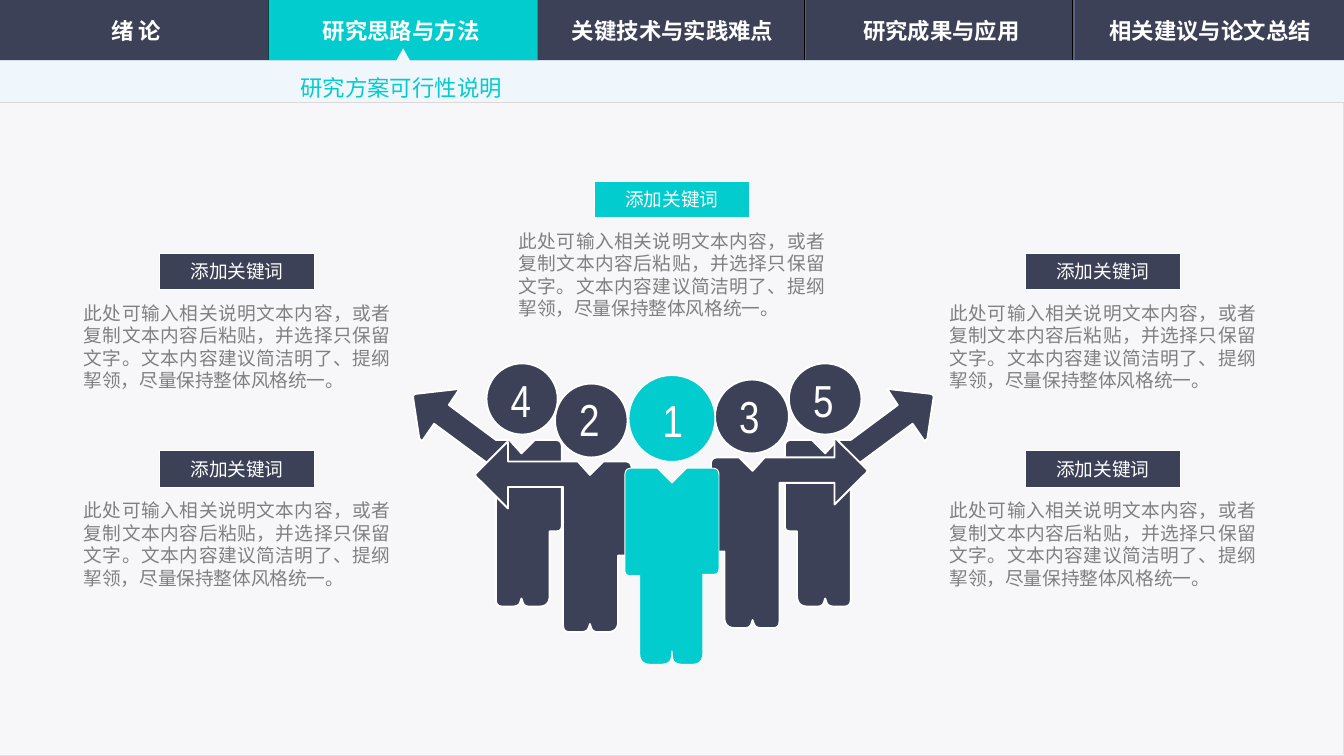
from math import hypot
from lxml.etree import SubElement
from pptx import Presentation
from pptx.dml.color import RGBColor
from pptx.enum.shapes import MSO_CONNECTOR, MSO_SHAPE
from pptx.enum.text import MSO_ANCHOR, MSO_AUTO_SIZE, PP_ALIGN
from pptx.oxml.ns import qn
from pptx.util import Inches, Pt

COLUMNS, ROWS = 1000, 562.5
CELL = Inches(10) // COLUMNS

NAVY = RGBColor(0x3C, 0x41, 0x57)
TEAL = RGBColor(0x03, 0xCC, 0xCE)
SLATE = RGBColor(0x3B, 0x44, 0x5B)
PAPER = RGBColor(0xF7, 0xF7, 0xF9)
PALE_EDGE = RGBColor(0xD4, 0xE7, 0xF9)
RIBBON = RGBColor(0xEF, 0xF6, 0xFC)
RULE = RGBColor(0xD9, 0xD9, 0xD9)
GROOVE = RGBColor(0x59, 0x61, 0x81)
BLACK = RGBColor(0, 0, 0)
WHITE = RGBColor(0xFF, 0xFF, 0xFF)
GREY = RGBColor(0x80, 0x80, 0x80)

HEADING_FONT = "Noto Sans CJK SC"
CHAPTERS = [("绪 论", 2), ("研究思路与方法", 199), ("关键技术与实践难点", 401),
            ("研究成果与应用", 601), ("相关建议与论文总结", 801)]
ACTIVE = 1
SUBJECT = "研究方案可行性说明"
KEYWORD = "添加关键词"
EXPLANATION = ("此处可输入相关说明文本内容，或者复制文本内容后粘贴，并选择只保留文字。"
               "文本内容建议简洁明了、提纲挈领，尽量保持整体风格统一。")

BAR = (0, 0, COLUMNS, 45)
CARDS = [(706.4, 188.5, NAVY), (706.4, 335.4, NAVY), (62.3, 188.5, NAVY),
         (62.3, 335.4, NAVY), (385.8, 135, TEAL)]

OUTER_BODY = [(0, 4, 3), (35, 0, 1), (27, 12), (62, 38), (72, 38), (81, 48), (91, 38),
              (111, 38, 5), (111, 106, 4), (102, 106), (102, 162, 8), (83, 162, 4),
              (81, 156), (79, 162, 5), (62, 162, 5), (62, 60), (16, 26), (7, 39), (5, 37)]
INNER_BODY = [(0, 25, 2), (25, 0, 1), (25, 15), (77, 15), (86, 25), (96, 15),
              (117, 15, 5), (117, 85, 4), (107, 85), (107, 142, 8), (88, 142, 4),
              (86, 136), (84, 142, 5), (66, 142, 5), (66, 34), (25, 34), (25, 50)]
LEADER_BODY = [(0, 0, 5), (24, 0), (35, 11), (46, 0), (70, 0, 5), (70, 79, 4),
               (58, 79), (58, 146, 8), (36, 146, 7), (35, 136), (34, 146, 8),
               (11, 146, 8), (11, 80), (0, 80, 4)]


def cells(*counts):
    return [round(count * CELL) for count in counts]


def paint(shape, fill=None, line=None, width=0.5):
    shape.shadow.inherit = False
    if fill is None:
        shape.fill.background()
    else:
        shape.fill.solid()
        shape.fill.fore_color.rgb = fill
    if line is None:
        shape.line.fill.background()
    else:
        shape.line.color.rgb = line
        shape.line.width = Pt(width)
    return shape


def add_preset(slide, preset, box, *style):
    return paint(slide.shapes.add_shape(preset, *cells(*box)), *style)


def add_label(slide, box, *style):
    label = add_preset(slide, MSO_SHAPE.ROUNDED_RECTANGLE, box, *style)
    label.adjustments[0] = 0
    label.text_frame.vertical_anchor = MSO_ANCHOR.MIDDLE
    return label


def add_rule(slide, start, end, color, width=0.5):
    rule = slide.shapes.add_connector(MSO_CONNECTOR.STRAIGHT, *cells(*start, *end))
    rule.line.color.rgb = color
    rule.line.width = Pt(width)
    SubElement(rule._element.spPr, qn("a:effectLst"))


def write(shape, text, size, font, color, align, bold=False, inset=None, wrap=True):
    frame = shape.text_frame
    frame.word_wrap = wrap
    if inset is not None:
        frame.margin_left = frame.margin_right = inset
        frame.margin_top = frame.margin_bottom = inset
    frame.text = text
    paragraph = frame.paragraphs[0]
    paragraph.alignment = align
    run = paragraph.runs[0]
    run.font.size, run.font.name, run.font.bold = Pt(size), font, bold
    run.font.color.rgb = color
    if font == HEADING_FONT:
        SubElement(run._r.get_or_add_rPr(), qn("a:ea")).set("typeface", font)
    return paragraph


def round_corners(corners):
    outline = []
    for index, (x, y, *radius) in enumerate(corners):
        if not radius:
            outline.append((x, y))
            continue
        tangents = []
        for near_x, near_y, *_ in (corners[index - 1], corners[(index + 1) % len(corners)]):
            length = hypot(near_x - x, near_y - y)
            share = min(radius[0] / length, 0.5)
            tangents.append((x + share * (near_x - x), y + share * (near_y - y)))
        (ax, ay), (bx, by) = tangents
        for step in range(7):
            t = step / 6
            outline.append(((1 - t) ** 2 * ax + 2 * t * (1 - t) * x + t * t * bx,
                            (1 - t) ** 2 * ay + 2 * t * (1 - t) * y + t * t * by))
    return outline


def add_outline(slide, left, top, corners, *style, mirror=False):
    span = max(corner[0] for corner in corners)
    points = [cells(left + (span - x if mirror else x), top + y)
              for x, y in round_corners(corners)]
    builder = slide.shapes.build_freeform(*points[0])
    builder.add_line_segments(points[1:], close=True)
    paint(builder.convert_to_shape(), *style)


def add_backdrop(slide):
    fill = slide.background.fill
    fill.gradient()
    fill.gradient_angle = 315
    for stop, color in zip(fill.gradient_stops, (TEAL, SLATE)):
        stop.color.rgb = color
    height = BAR[3]
    add_preset(slide, MSO_SHAPE.RECTANGLE, (0, height, COLUMNS, ROWS - height), PAPER, PALE_EDGE)


def add_navigation(slide, box):
    left, top, width, height = box
    tab = width / len(CHAPTERS)
    bottom = top + height
    add_preset(slide, MSO_SHAPE.RECTANGLE, box, NAVY)
    for index in range(1, len(CHAPTERS)):
        x = left + index * tab - index / 2
        add_rule(slide, (x, top), (x, bottom), BLACK)
        add_rule(slide, (x + 1, top), (x + 1, bottom), GROOVE, 0.75)
    active = left + ACTIVE * tab
    add_preset(slide, MSO_SHAPE.RECTANGLE, (active, top, tab, height), TEAL)
    pointer = active + tab / 2
    add_outline(slide, left, bottom - 9,
                [(pointer, 0), (pointer + 5, 9), (width, 9), (width, 40),
                 (0, 40), (0, 9), (pointer - 5, 9)], RIBBON)
    add_rule(slide, (left, bottom + 31), (left + width, bottom + 31), RULE)
    for chapter, start in CHAPTERS:
        label = add_label(slide, (left + start, top + 7, tab - 1, height - 14))
        write(label, chapter, 12, HEADING_FONT, WHITE, PP_ALIGN.CENTER, True)


def add_subject(slide, box):
    title = slide.shapes.title
    title.left, title.top, title.width, title.height = cells(*box)
    title.text_frame.vertical_anchor = MSO_ANCHOR.MIDDLE
    title.text_frame.auto_size = MSO_AUTO_SIZE.SHAPE_TO_FIT_TEXT
    paragraph = write(title, SUBJECT, 12, HEADING_FONT, TEAL, PP_ALIGN.LEFT, wrap=False)
    paragraph.line_spacing = 1.5
    paragraph.space_before = Pt(0)
    slide.shapes._spTree.append(title._element)


def add_team(slide, left, top):
    navy, teal = (NAVY, WHITE, 1), (TEAL, WHITE, 0.5)
    head = MSO_SHAPE.OVAL
    add_outline(slide, left + 277, top + 19, OUTER_BODY, *navy, mirror=True)
    add_preset(slide, head, (left + 280, top, 54, 53), *navy)
    add_outline(slide, left, top + 19, OUTER_BODY, *navy)
    add_preset(slide, head, (left + 55, top, 53, 53), *navy)
    add_preset(slide, head, (left + 106, top + 15, 54, 55), *navy)
    add_outline(slide, left + 46, top + 58, INNER_BODY, *navy)
    add_preset(slide, head, (left + 225, top + 12, 55, 55), *navy)
    add_outline(slide, left + 222, top + 55, INNER_BODY, *navy, mirror=True)
    add_preset(slide, head, (left + 161, top + 9, 64, 64), *teal)
    add_outline(slide, left + 158, top + 78, LEADER_BODY, *teal)
    for digit, x, y in (("1", 186, 22), ("2", 124, 21), ("4", 73, 7), ("5", 298, 7), ("3", 243, 19)):
        number = slide.shapes.add_textbox(*cells(left + x, top + y, 17, 40))
        write(number, digit, 24, "Arial Narrow", WHITE, PP_ALIGN.LEFT, inset=0, wrap=False)


def add_card(slide, left, top, color):
    explanation = slide.shapes.add_textbox(*cells(left, top + 36, 228, 67))
    write(explanation, EXPLANATION, 10, "Arial", GREY, PP_ALIGN.JUSTIFY, inset=0)
    keyword = add_label(slide, (left + 56.6, top, 115, 27), color, WHITE)
    write(keyword, KEYWORD, 10, "Arial Narrow", WHITE, PP_ALIGN.CENTER)


deck = Presentation()
deck.slide_width, deck.slide_height = cells(COLUMNS, ROWS)
feasibility = deck.slides.add_slide(deck.slide_layouts[5])
add_backdrop(feasibility)
add_navigation(feasibility, BAR)
add_team(feasibility, 307, 270.4)
for card in CARDS:
    add_card(feasibility, *card)
add_subject(feasibility, (213.5, 41.3, 172, 37))
deck.save("out.pptx")
